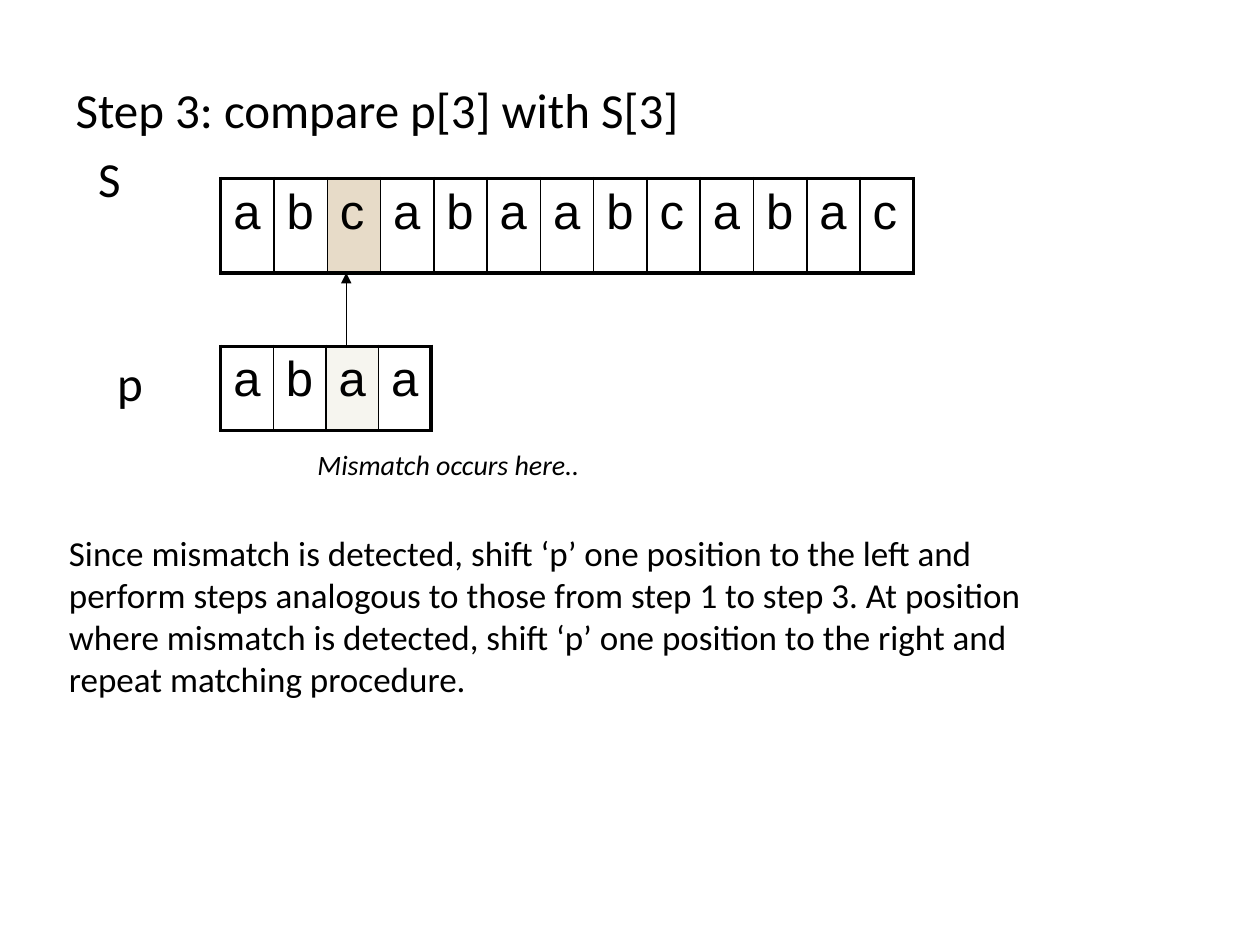
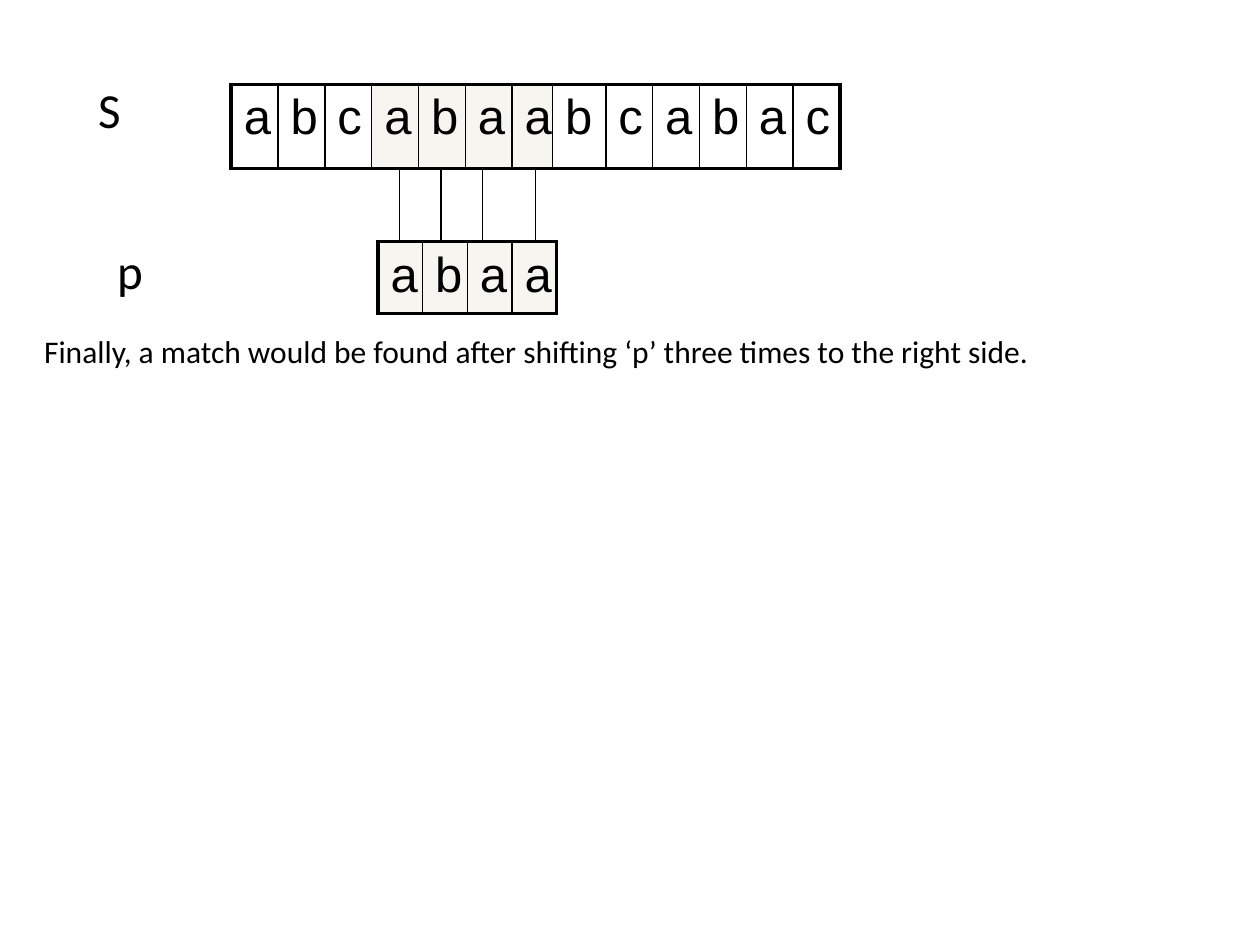
"""Builds two slides that show naive string matching of p against S."""
from dataclasses import dataclass, field

from lxml import etree
from pptx import Presentation
from pptx import util as u
from pptx.dml.color import RGBColor
from pptx.enum import shapes, text
from pptx.oxml.ns import qn
from pptx.slide import Slide

INK, CREAM, TAN = "000000", "EEECE1", "D1B893"
SANS, CELL = "Calibri", "Arial"
EDGE, RULE, THIN = 2.25, 1, 0.75
TITLE, BLANK = 5, 6


@dataclass
class Note:
    """Text in a box, in centimetres, one paragraph per line."""
    lines: list[str]
    left: float
    top: float
    width: float = 1.2
    height: float = 1.45
    size: int = 28
    italic: bool = False


@dataclass
class Strip:
    """A row of letter cells; tints and nudges go by cell index."""
    word: str
    left: float
    top: float
    width: float
    height: float
    tints: dict[int, str] = field(default_factory=dict)
    nudge: dict[int, float] = field(default_factory=dict)


@dataclass
class Link:
    """An upright line from a lower to an upper strip."""
    x: float
    start: float
    end: float
    arrow: bool = False


def paint(code: str) -> RGBColor:
    """Turn a hex string into a colour."""
    return RGBColor.from_string(code)


def apply(item: object, form: dict) -> None:
    """Set each value of a format on an object."""
    for key, val in form.items():
        setattr(item, key, val)


def area(item: Note | Strip) -> list[u.Cm]:
    """Give left, top, width and height as lengths."""
    return [u.Cm(v) for v in (item.left, item.top, item.width, item.height)]


def write(frame, lines: list[str], size: int, name: str = SANS,
          italic: bool = False) -> None:
    """Fill a text frame, aligned left and set from the top."""
    apply(frame, {"word_wrap": True, "auto_size": text.MSO_AUTO_SIZE.NONE,
                  "vertical_anchor": text.MSO_ANCHOR.TOP})
    frame.text = "\n".join(lines)
    for para in frame.paragraphs:
        para.alignment = text.PP_ALIGN.LEFT
        apply(para.font, {"size": u.Pt(size), "name": name, "italic": italic})
        para.font.color.rgb = paint(INK)


def head(slide: Slide, note: Note) -> None:
    """Move the title placeholder and fill it."""
    spot = ("left", "top", "width", "height")
    apply(slide.shapes.title, dict(zip(spot, area(note))))
    write(slide.shapes.title.text_frame, note.lines, note.size)


def add_note(slide: Slide, note: Note) -> None:
    """Add a text box."""
    box = slide.shapes.add_textbox(*area(note))
    write(box.text_frame, note.lines, note.size, italic=note.italic)


def border(cell, sides: dict[str, float]) -> None:
    """Draw the cell borders, with widths in points by side."""
    props = cell._tc.get_or_add_tcPr()
    for spot, (side, width) in enumerate(sides.items()):
        line = etree.Element(qn(f"a:ln{side}"), w=str(u.Pt(width)))
        fill = etree.SubElement(line, qn("a:solidFill"))
        etree.SubElement(fill, qn("a:srgbClr"), val=INK)
        props.insert(spot, line)


def tint(cell, code: str | None) -> None:
    """Fill a cell at half strength, or leave it clear."""
    if code is None:
        cell.fill.background()
        return
    cell.fill.solid()
    cell.fill.fore_color.rgb = paint(code)
    for clr in cell._tc.tcPr.iter(qn("a:srgbClr")):
        etree.SubElement(clr, qn("a:alpha"), val="50000")


def add_strip(slide: Slide, strip: Strip) -> None:
    """Add a one-row table with a letter in each cell."""
    count = len(strip.word)
    table = slide.shapes.add_table(1, count, *area(strip)).table
    apply(table, {"first_row": False, "horz_banding": False})
    for i, char in enumerate(strip.word):
        wide = strip.width / count + strip.nudge.get(i, 0)
        table.columns[i].width = u.Cm(wide)
        cell = table.cell(0, i)
        write(cell.text_frame, [char], 28, CELL)
        tint(cell, strip.tints.get(i))
        border(cell, {"L": RULE if i else EDGE,
                      "R": RULE if i < count - 1 else EDGE,
                      "T": EDGE, "B": EDGE})


def add_link(slide: Slide, link: Link) -> None:
    """Add a thin line, with an arrowhead if asked."""
    ends = [u.Cm(v) for v in (link.x, link.start, link.x, link.end)]
    wire = slide.shapes.add_connector(shapes.MSO_CONNECTOR.STRAIGHT, *ends)
    wire.line.width = u.Pt(THIN)
    wire.line.color.rgb = paint(INK)
    if link.arrow:
        etree.SubElement(wire.line._get_or_add_ln(), qn("a:tailEnd"),
                         type="triangle")
    etree.SubElement(wire._element.spPr, qn("a:effectLst"))


DRAW = {Note: add_note, Strip: add_strip, Link: add_link}
WORD, PART = "abcabaabcabac", "abaa"

STEP = Note(["Step 3: compare p[3] with S[3]"], 1.27, 1.47, 22.86)
MISS = [
    Note(["S"], 1.73, 2.87),
    Note(["p"], 2.11, 6.98),
    Strip(PART, 4.45, 6.98, 4.24, 1.7, {2: CREAM}),
    Note(["Mismatch occurs here.."], 6.15, 8.89, 6.35, 0.94, 16, True),
    Note(["Since mismatch is detected, shift ‘p’ one position to the left and",
          "perform steps analogous to those from step 1 to step 3. At position",
          "where mismatch is detected, shift ‘p’ one position to the right and",
          "repeat matching procedure."], 1.14, 10.59, 21.44, 3.63, 20),
    Strip(WORD, 4.45, 3.6, 13.97, 1.9, {2: TAN}),
    Link(6.98, 6.98, 5.5, True),
]
FOUND = [
    Note(["S"], 1.73, 1.47),
    Strip(WORD, 4.66, 1.7, 12.28, 1.7, dict.fromkeys(range(3, 7), CREAM),
          {6: -0.13, 7: 0.13}),
    Note(["p"], 2.11, 4.72),
    Strip(PART, 7.62, 4.87, 3.6, 1.45, dict.fromkeys(range(4), CREAM)),
    *(Link(x, 4.87, 3.4) for x in (8.05, 8.89, 9.73, 10.8)),
    Note(["Finally, a match would be found after shifting ‘p’ three times "
          "to the right side."], 0.64, 6.56, 22.86, 1, 18),
]


def main() -> None:
    """Build and save both slides."""
    deck = Presentation()
    apply(deck, {"slide_width": u.Cm(25.4), "slide_height": u.Cm(19.05)})
    for kind, title, items in ((TITLE, STEP, MISS), (BLANK, None, FOUND)):
        slide = deck.slides.add_slide(deck.slide_layouts[kind])
        if title:
            head(slide, title)
        for item in items:
            DRAW[type(item)](slide, item)
    deck.save("out.pptx")


if __name__ == "__main__":
    main()
